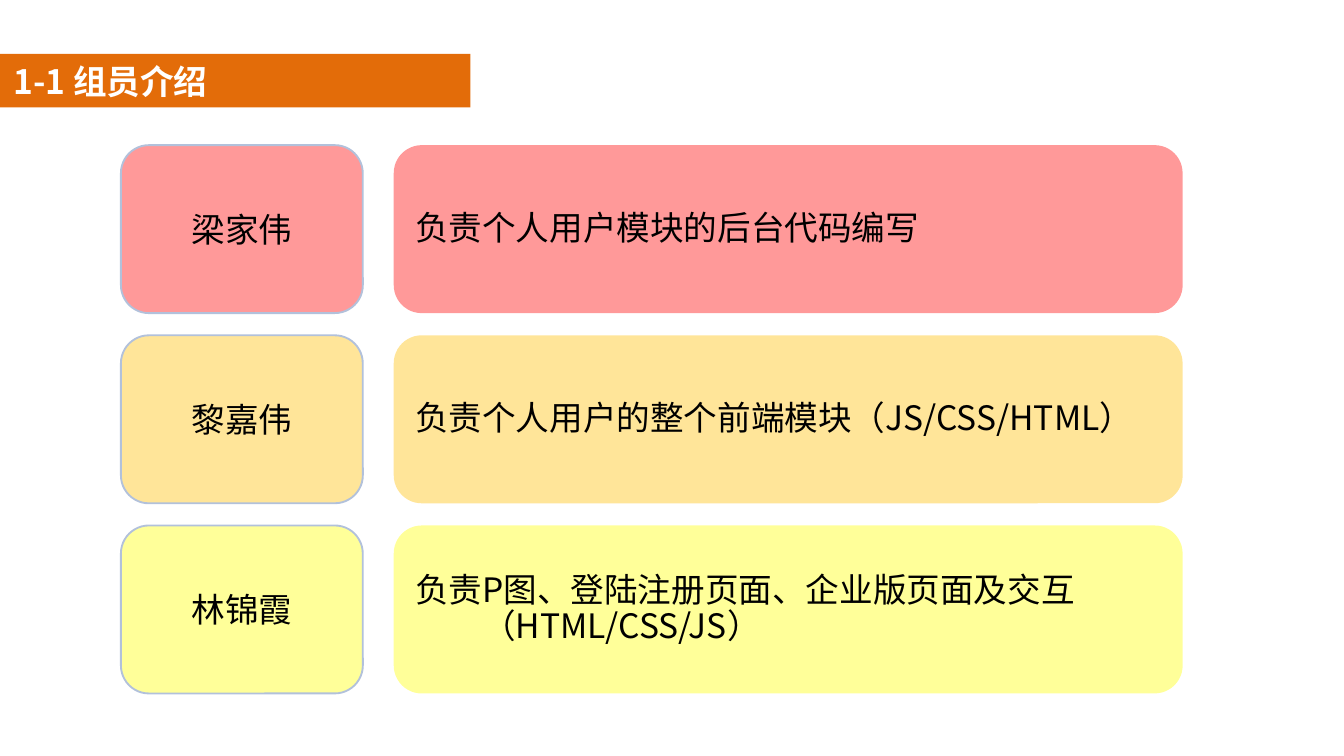
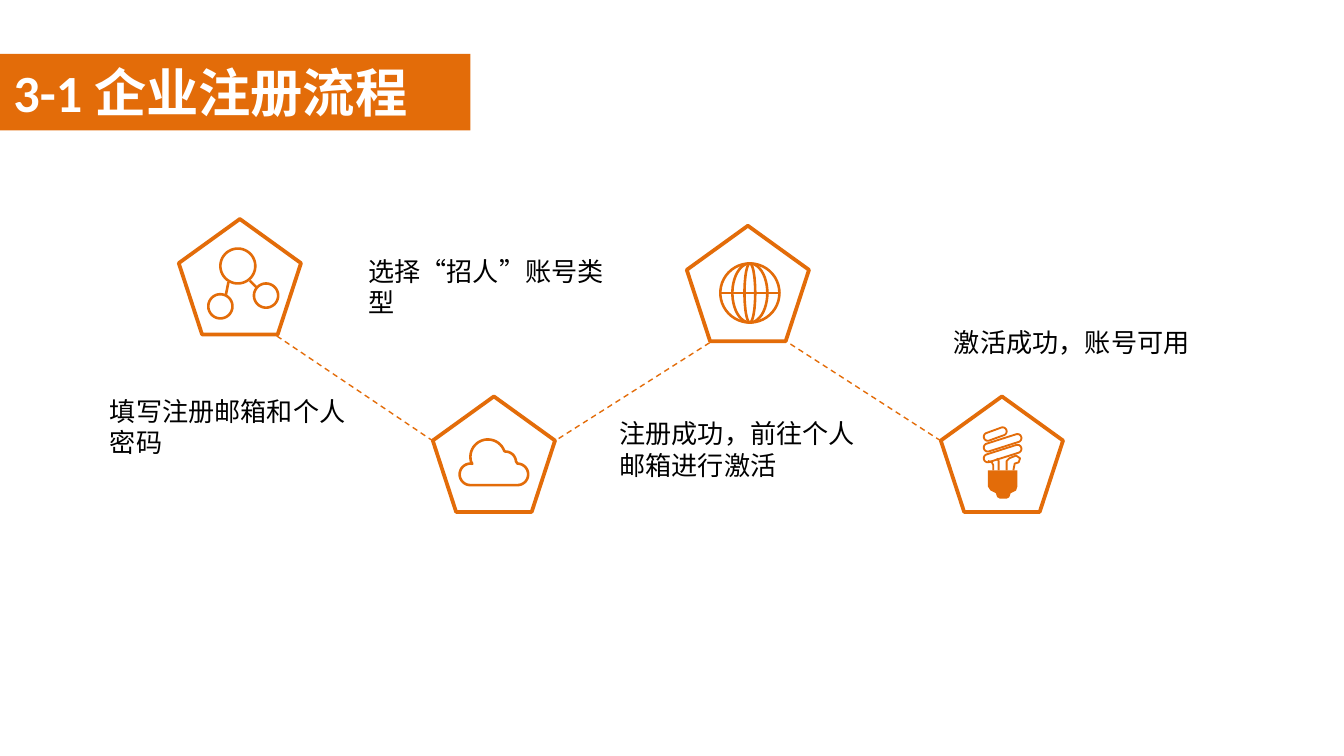
from math import cos, radians, sin

from lxml.etree import SubElement
from pptx import Presentation
from pptx.dml.color import RGBColor
from pptx.enum.dml import MSO_LINE
from pptx.enum.shapes import MSO_CONNECTOR, MSO_SHAPE
from pptx.enum.text import MSO_ANCHOR, MSO_AUTO_SIZE, PP_ALIGN
from pptx.oxml.ns import qn
from pptx.util import Inches, Pt

COLORS = {
    "accent": "E36C09",
    "white": "FFFFFF",
    "black": "000000",
    "name_border": "B2C1DB",
    "red": "FF0000",
    "amber": "FFC000",
    "yellow": "FFFF00",
}
CJK_FONT = "Noto Sans CJK SC"
TITLE_ONLY = 5


def rgb(name):
    return RGBColor.from_string(COLORS[name])


def write(frame, runs, size, color="black", bold=False, align=PP_ALIGN.LEFT):
    """Fill the first paragraph with (text, font) runs."""
    frame.word_wrap = True
    paragraph = frame.paragraphs[0]
    paragraph.alignment = align
    paragraph.font.size = Pt(size)
    paragraph.font.bold = bold
    paragraph.font.color.rgb = rgb(color)
    fonts = {font for _, font in runs}
    if len(fonts) == 1:
        paragraph.font.name = fonts.pop()
    for text, font in runs:
        run = paragraph.add_run()
        run.text = text
        if paragraph.font.name is None:
            run.font.name = font
    defaults = paragraph._p.pPr.find(qn("a:defRPr"))
    SubElement(defaults, qn("a:ea"), typeface=CJK_FONT)
    return paragraph


def style(shape, fill=None, line=None, width=1, opacity=None):
    shape.shadow.inherit = False
    if fill:
        shape.fill.solid()
        shape.fill.fore_color.rgb = rgb(fill)
    else:
        shape.fill.background()
    if opacity:
        color = shape.element.spPr.find(qn("a:solidFill"))[0]
        SubElement(color, qn("a:alpha"), val=str(opacity * 1000))
    if line:
        shape.line.color.rgb = rgb(line)
        shape.line.width = Pt(width)
    else:
        shape.line.fill.background()


def add_titled_slide(prs, runs, size, height):
    """Add a slide whose title is an orange band at the left edge."""
    slide = prs.slides.add_slide(prs.slide_layouts[TITLE_ONLY])
    title = slide.shapes.title
    title.left, title.top = Inches(0), Inches(0.4)
    title.width, title.height = Inches(3.5), Inches(height)
    title.fill.solid()
    title.fill.fore_color.rgb = rgb("accent")
    frame = title.text_frame
    frame.auto_size = MSO_AUTO_SIZE.NONE
    frame.vertical_anchor = MSO_ANCHOR.TOP
    write(frame, runs, size, "white", bold=True)
    return slide


# Members slide
def add_card(slide, left, top, width, text, fill, line=None, align=PP_ALIGN.LEFT):
    card = slide.shapes.add_shape(
        MSO_SHAPE.FLOWCHART_ALTERNATE_PROCESS,
        Inches(left), Inches(top), Inches(width), Inches(1.25))
    style(card, fill, line, opacity=40)
    card.text_frame.vertical_anchor = MSO_ANCHOR.MIDDLE
    return write(card.text_frame, [(text, CJK_FONT)], 18, align=align)


def add_member(slide, top, name, duty, color):
    add_card(slide, 0.9, top, 1.8, name, color, "name_border", PP_ALIGN.CENTER)
    paragraph = add_card(slide, 2.93, top, 5.87, duty, color)
    paragraph.line_spacing = 0.9
    hanging = Inches(0.5)
    paragraph._p.pPr.set("marL", str(hanging))
    paragraph._p.pPr.set("indent", str(-hanging))


# Icon outlines, in inches on the slide
def arc(x, y, rx, ry=None, start=0, end=360):
    ry = ry or rx
    steps = max(8, (end - start) // 8)
    angles = [radians(start + (end - start) * i / steps) for i in range(steps + 1)]
    return [(x + rx * cos(a), y + ry * sin(a)) for a in angles]


def capsule(x1, y1, x2, y2, radius):
    outline = arc(x1, y1, radius, start=75, end=255) + arc(x2, y2, radius, start=255, end=435)
    return outline + outline[:1]


def molecule():
    return [
        arc(1.77, 1.98, 0.13), arc(1.64, 2.28, 0.09), arc(1.98, 2.2, 0.09),
        [(1.7, 2.1), (1.68, 2.2)], [(1.86, 2.09), (1.91, 2.14)],
    ]


def globe():
    x, y, radius = 5.58, 2.18, 0.22
    meridians = [arc(x, y, rx, radius) for rx in (radius, 0.13, 0.04)]
    return meridians + [[(x - radius, y), (x + radius, y)]]


def cloud():
    outline = (arc(3.5, 3.53, 0.08, start=90, end=280)
               + arc(3.63, 3.4, 0.13, start=165, end=340)
               + arc(3.76, 3.44, 0.08, start=270, end=355)
               + arc(3.85, 3.53, 0.08, start=270, end=450))
    return [outline + outline[:1]]


def bulb_tubes():
    return [
        capsule(7.35, 3.25, 7.46, 3.21, 0.03),
        capsule(7.35, 3.33, 7.57, 3.26, 0.03),
        capsule(7.35, 3.41, 7.57, 3.34, 0.03),
        [(7.35, 3.43), (7.38, 3.44), (7.39, 3.46), (7.39, 3.5)],
        [(7.43, 3.5), (7.43, 3.43), (7.42, 3.41)],
        [(7.49, 3.5), (7.49, 3.43), (7.51, 3.41), (7.56, 3.39),
         (7.59, 3.41), (7.58, 3.44), (7.55, 3.45), (7.54, 3.5)],
    ]


def bulb_base():
    return [[(7.35, 3.5), (7.57, 3.5), (7.57, 3.62), (7.56, 3.65), (7.52, 3.67),
             (7.51, 3.7), (7.49, 3.71), (7.44, 3.71), (7.42, 3.7), (7.41, 3.67),
             (7.37, 3.65), (7.35, 3.62), (7.35, 3.5)]]


# Registration slide
def add_outline(shapes, contours, fill=None, line=None, width=1.4):
    points = [[(Inches(x), Inches(y)) for x, y in contour] for contour in contours]
    builder = shapes.build_freeform(*points[0][0])
    for i, contour in enumerate(points):
        if i:
            builder.move_to(*contour[0])
        builder.add_line_segments(contour[1:], close=False)
    style(builder.convert_to_shape(), fill, line, width)


def add_step(slide, left, top):
    """Add a pentagon in a group and return the group's shapes for its icon."""
    step = slide.shapes.add_group_shape().shapes
    pentagon = step.add_shape(MSO_SHAPE.REGULAR_PENTAGON,
                              Inches(left), Inches(top), Inches(0.91), Inches(0.86))
    style(pentagon, line="accent", width=2)
    return step


def add_dashed_link(slide, start, end):
    link = slide.shapes.add_connector(
        MSO_CONNECTOR.STRAIGHT, *(Inches(v) for v in start + end))
    link.line.color.rgb = rgb("accent")
    link.line.width = Pt(0.75)
    link.line.dash_style = MSO_LINE.DASH
    SubElement(link.element.spPr, qn("a:effectLst"))


def add_caption(slide, left, top, height, runs):
    caption = slide.shapes.add_textbox(
        Inches(left), Inches(top), Inches(2.13), Inches(height))
    write(caption.text_frame, runs, 14)


def build_members(prs):
    slide = add_titled_slide(prs, [("1-1 组员介绍", CJK_FONT)], 18, 0.4)
    members = [
        ("梁家伟", "负责个人用户模块的后台代码编写", "red"),
        ("黎嘉伟", "负责个人用户的整个前端模块（JS/CSS/HTML）", "amber"),
        ("林锦霞", "负责P图、登陆注册页面、企业版页面及交互（HTML/CSS/JS）", "yellow"),
    ]
    first_top, last_top = 1.08, 3.91
    step = (last_top - first_top) / (len(members) - 1)
    for row, (name, duty, color) in enumerate(members):
        add_member(slide, first_top + row * step, name, duty, color)


def build_registration(prs):
    slide = add_titled_slide(
        prs, [("3-1 ", "Calibri"), ("企业注册流程", "Arial")], 28, 0.57)

    # Steps with their icons
    step_tops = [1.63, 2.95, 1.68, 2.95]
    icons = [molecule(), cloud(), globe(), bulb_tubes()]
    for i, (top, icon) in enumerate(zip(step_tops, icons)):
        step = add_step(slide, 1.33 + i * 1.89, top)
        if i == 3:
            add_outline(step, icon, line="accent", width=1)
            add_outline(step, bulb_base(), fill="accent")
        else:
            add_outline(step, icon, line="accent")

    # Links between steps
    for start, end in [((2.06, 2.5), (3.22, 3.28)),
                       ((5.28, 2.55), (4.13, 3.28)),
                       ((7, 3.28), (5.85, 2.54))]:
        add_dashed_link(slide, start, end)

    # Captions
    add_caption(slide, 0.72, 2.89, 0.57, [("填写注册邮箱和个人密码", "Arial")])
    add_caption(slide, 2.64, 1.85, 0.34, [
        ("选择", "Arial"), ("“", "Calibri"), ("招人", "Arial"),
        ("”", "Calibri"), ("账号类型", "Arial")])
    add_caption(slide, 4.51, 3.06, 0.57, [("注册成功，前往个人邮箱进行激活", "Arial")])
    add_caption(slide, 7, 2.38, 0.34, [("激活成功，账号可用", "Arial")])


def main():
    prs = Presentation()
    # Widescreen, 16:9
    prs.slide_width = Inches(10)
    prs.slide_height = prs.slide_width * 9 // 16
    build_members(prs)
    build_registration(prs)
    prs.save("out.pptx")


if __name__ == "__main__":
    main()
